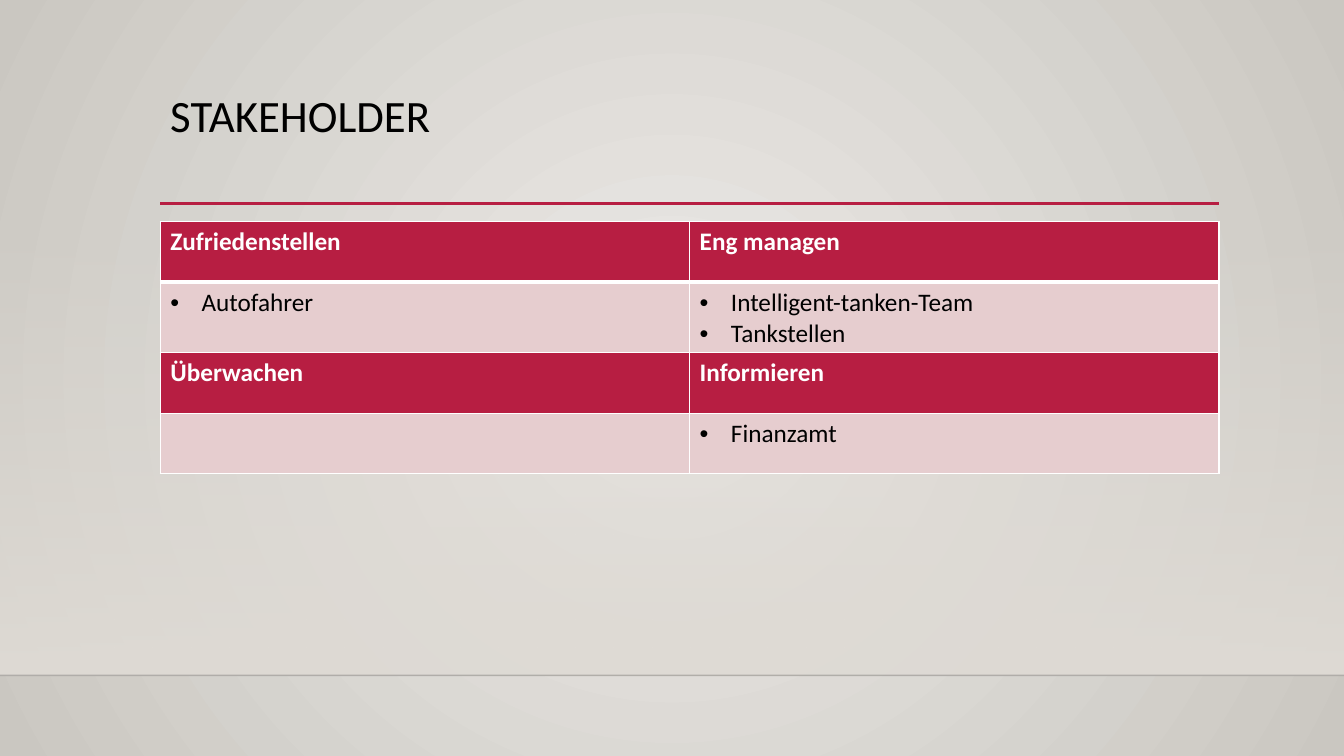
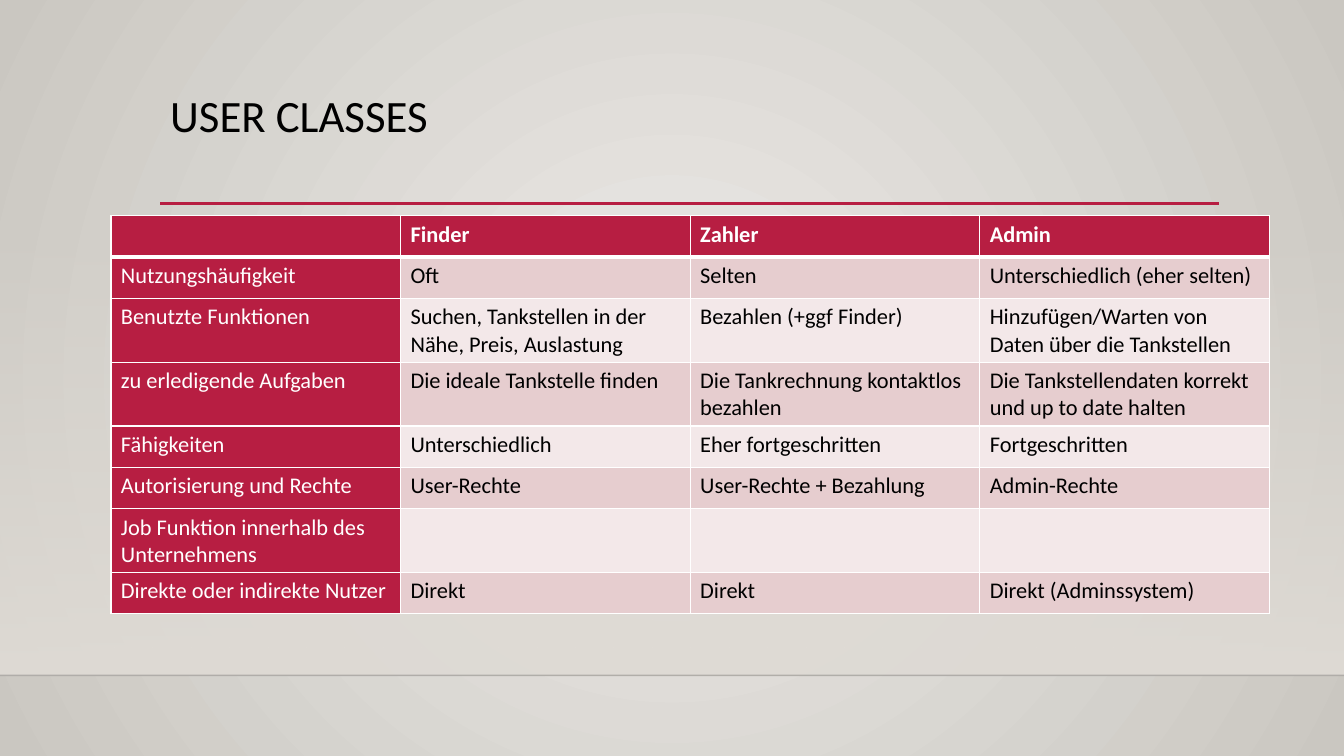
from dataclasses import dataclass

from lxml.etree import SubElement
from pptx import Presentation
from pptx.dml.color import RGBColor as RGB
from pptx.enum.shapes import MSO_CONNECTOR as Conn, MSO_SHAPE as Shape
from pptx.oxml.ns import qn
from pptx.util import Emu, Inches, Pt


@dataclass(frozen=True)
class Theme:
    font: str = "Calibri"
    accent: str = "B71E42"
    tint: str = "E6CDCF"
    pale: str = "F3E8E9"
    white: str = "FFFFFF"
    black: str = "000000"
    floor_line: str = "000001"
    floor: str = "DFDBD5"
    back_inner: str = "ECEAE7"
    back_outer: str = "CAC7C1"
    title_size: int = 32
    list_size: int = 18
    matrix_size: int = 16


T = Theme()
W, H = Inches(13.33), Inches(7.5)
LEFT, WIDTH = Inches(1.59), Inches(10.5)
TITLE_TOP, TITLE_HEIGHT = Inches(0.88), Inches(1.15)
RULE_Y, FLOOR_TOP, FLOOR_Y = Inches(2.02), Inches(2.21), Inches(6.7)

STAKEHOLDERS = [
    ["Zufriedenstellen", "Eng managen"],
    [["Autofahrer"], ["Intelligent-tanken-Team", "Tankstellen"]],
    ["Überwachen", "Informieren"],
    ["", ["Finanzamt"]],
]
USER_CLASSES = [
    ["", "Finder", "Zahler", "Admin"],
    ["Nutzungshäufigkeit", "Oft", "Selten", "Unterschiedlich (eher selten)"],
    ["Benutzte Funktionen", "Suchen, Tankstellen in der Nähe, Preis, Auslastung",
     "Bezahlen (+ggf Finder)", "Hinzufügen/Warten von Daten über die Tankstellen"],
    ["zu erledigende Aufgaben", "Die ideale Tankstelle finden",
     "Die Tankrechnung kontaktlos bezahlen",
     "Die Tankstellendaten korrekt und up to date halten"],
    ["Fähigkeiten", "Unterschiedlich", "Eher fortgeschritten", "Fortgeschritten"],
    ["Autorisierung und Rechte", "User-Rechte", "User-Rechte + Bezahlung", "Admin-Rechte"],
    ["Job Funktion innerhalb des Unternehmens", "", "", ""],
    ["Direkte oder indirekte Nutzer", "Direkt", "Direkt", "Direkt (Adminssystem)"],
]


def add_text(p, text, size, color=T.black, bold=False, bullet=False, spacing=None):
    """Write one formatted run into a paragraph."""
    if spacing:
        p.line_spacing = spacing
    if bullet:
        pPr = p._p.get_or_add_pPr()
        indent = Inches(0.31)
        pPr.set("marL", str(indent))
        pPr.set("indent", str(-indent))
        SubElement(pPr, qn("a:buFont"), typeface="Arial")
        SubElement(pPr, qn("a:buChar"), char="•")
    r = p.add_run()
    r.text = text
    f = r.font
    f.name, f.size, f.bold = T.font, Pt(size), bold
    f.color.rgb = RGB.from_string(color)


def set_alpha(color_parent, percent):
    color = color_parent.find(".//" + qn("a:srgbClr"))
    SubElement(color, qn("a:alpha"), val=str(percent * 1000))


def set_gradient(fill, host, start, end):
    """Apply a two-stop gradient and return its XML element."""
    fill.gradient()
    for stop, position, color in zip(fill.gradient_stops, (0, 1), (start, end)):
        stop.position = position
        stop.color.rgb = RGB.from_string(color)
    return host.find(".//" + qn("a:gradFill"))


def add_line(s, x1, x2, y, color, width, alpha=None):
    ln = s.shapes.add_connector(Conn.STRAIGHT, x1, y, x2, y)
    ln.line.color.rgb = RGB.from_string(color)
    ln.line.width = Pt(width)
    spPr = ln._element.spPr
    if alpha:
        set_alpha(spPr, alpha)
    SubElement(spPr, qn("a:effectLst"))


def add_backdrop(s):
    # Radial background
    grad = set_gradient(s.background.fill, s.element, T.back_inner, T.back_outer)
    grad.remove(grad.find(qn("a:lin")))
    radial = SubElement(grad, qn("a:path"), {"path": "circle"})
    SubElement(radial, qn("a:fillToRect"), {side: "50000" for side in "ltrb"})

    # Wall fading in towards the floor
    wall = s.shapes.add_shape(Shape.RECTANGLE, 0, FLOOR_TOP, W, FLOOR_Y - FLOOR_TOP)
    wall.shadow.inherit = False
    wall.line.fill.background()
    grad = set_gradient(wall.fill, wall._element, T.floor, T.floor)
    wall.fill.gradient_angle = 270
    set_alpha(grad, 0)
    add_line(s, 0, W, FLOOR_Y, T.floor_line, 1, alpha=20)


def add_title(s, text):
    add_line(s, LEFT, LEFT + WIDTH, RULE_Y, T.accent, 2.5)
    tf = s.shapes.add_textbox(LEFT, TITLE_TOP, WIDTH, TITLE_HEIGHT).text_frame
    tf.word_wrap = True
    add_text(tf.paragraphs[0], text, T.title_size, spacing=0.9)


def set_borders(cell, **widths):
    tcPr = cell._tc.get_or_add_tcPr()
    for i, side in enumerate("LRTB"):
        ln = tcPr.makeelement(qn(f"a:ln{side}"), {"w": str(Pt(widths.get(side, 1)))})
        SubElement(SubElement(ln, qn("a:solidFill")), qn("a:srgbClr"), val=T.white)
        tcPr.insert(i, ln)


def add_grid(s, box, rows, size, head_rows=(0,), head_cols=()):
    """Table with equal columns; a list as content becomes bullets."""
    x, y, w, row_h = box
    n_rows, n_cols = len(rows), len(rows[0])
    table = s.shapes.add_table(n_rows, n_cols, x, y, w, row_h * n_rows).table
    for col in table.columns:
        col.width = Emu(w // n_cols)
    for i, row in enumerate(rows):
        table.rows[i].height = row_h
        for j, content in enumerate(row):
            cell = table.cell(i, j)
            head = i in head_rows or j in head_cols
            fill = T.accent if head else T.tint if i % 2 else T.pale
            cell.fill.solid()
            cell.fill.fore_color.rgb = RGB.from_string(fill)
            set_borders(cell, T=3 if i == 1 else 1, B=3 if i == 0 else 1)

            bullet = isinstance(content, list)
            tf = cell.text_frame
            for k, text in enumerate(content if bullet else [content]):
                p = tf.add_paragraph() if k else tf.paragraphs[0]
                if text:
                    add_text(p, text, size, T.white if head else T.black,
                             bold=i in head_rows, bullet=bullet)


def add_table_slide(prs, title, box, rows, size, **heads):
    s = prs.slides.add_slide(prs.slide_layouts[6])
    add_backdrop(s)
    add_title(s, title)
    add_grid(s, box, rows, size, **heads)


def main():
    prs = Presentation()
    prs.slide_width, prs.slide_height = W, H
    add_table_slide(prs, "STAKEHOLDER", (LEFT, Inches(2.2), WIDTH, Inches(0.6)),
                    STAKEHOLDERS, T.list_size, head_rows=(0, 2))
    add_table_slide(prs, "USER CLASSES",
                    (Inches(1.1), Inches(2.14), Inches(11.49), Inches(0.41)),
                    USER_CLASSES, T.matrix_size, head_cols=(0,))
    prs.save("out.pptx")


if __name__ == "__main__":
    main()
